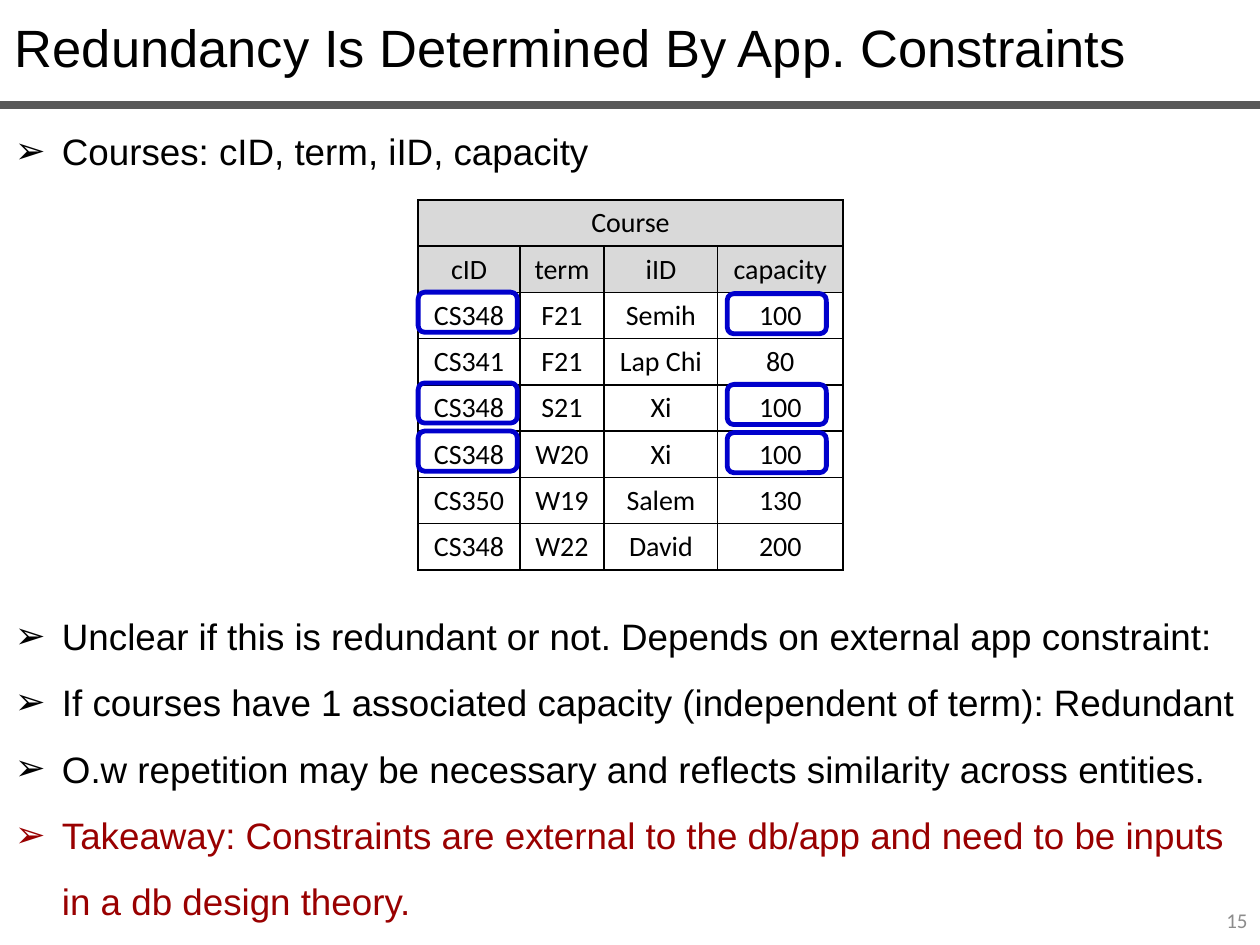
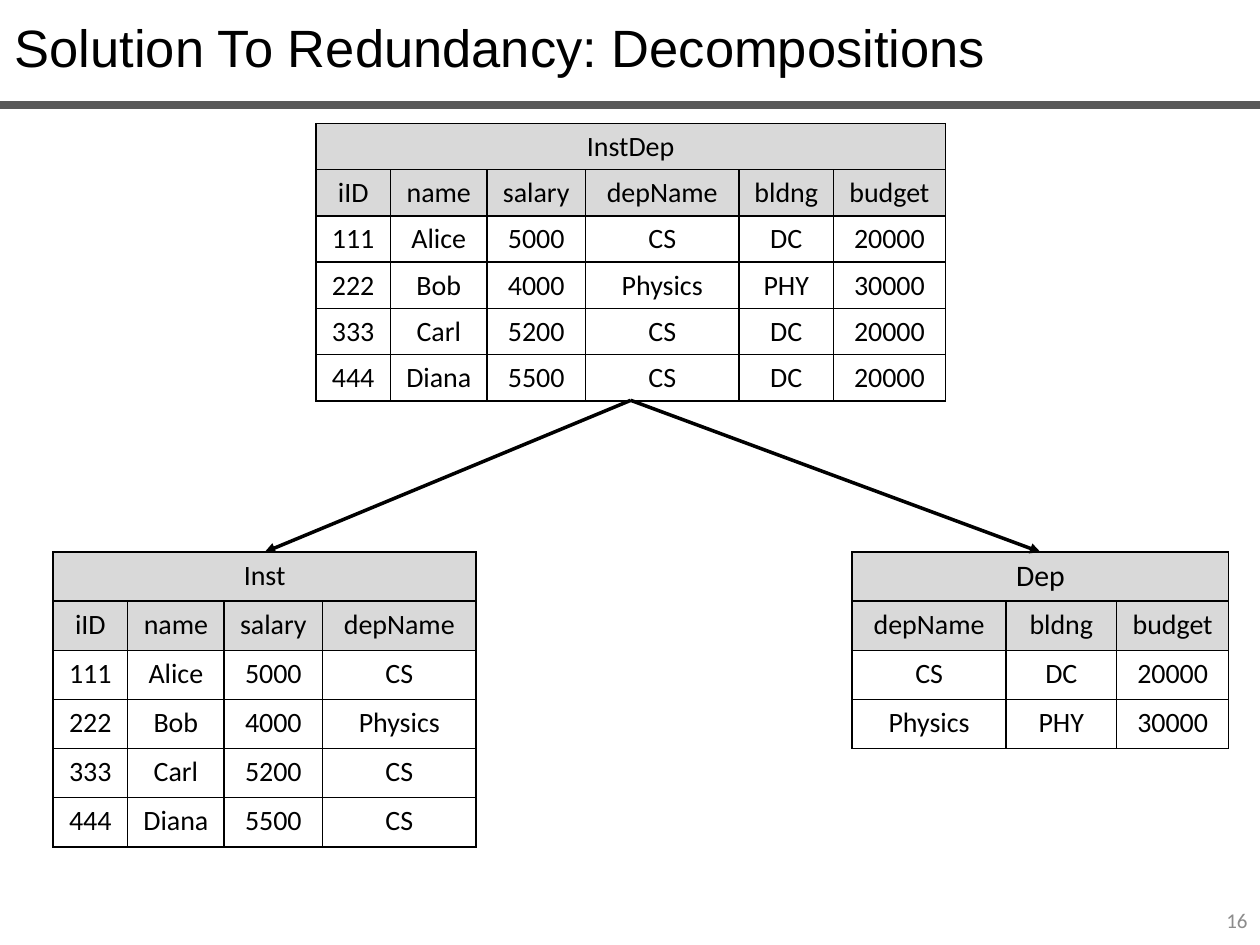
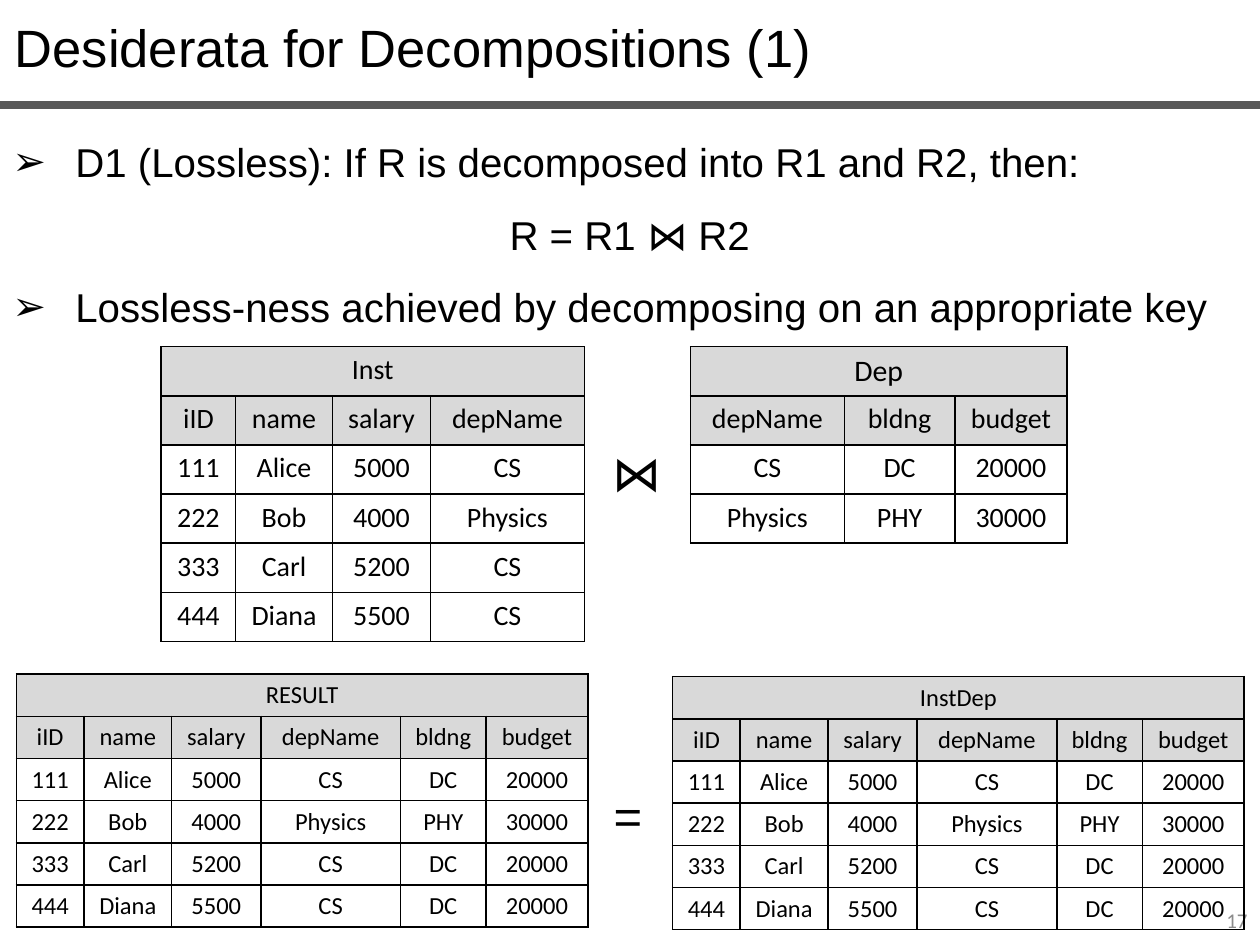
from collections.abc import Sequence
from dataclasses import dataclass

from lxml.etree import SubElement
from pptx import Presentation
from pptx.dml.color import RGBColor
from pptx.enum.shapes import MSO_CONNECTOR, MSO_SHAPE
from pptx.enum.text import MSO_ANCHOR, MSO_AUTO_SIZE, PP_ALIGN
from pptx.oxml.ns import qn
from pptx.util import Cm, Pt

# Shared look
BLACK, GREY, PALE, RULE = "000000", "8C8C8C", "D9D9D9", "595959"
RED, BLUE = "990000", "0000CC"
HEADING_FONT, TABLE_FONT = "Arial", "Calibri"
PAGE_WIDTH, PAGE_HEIGHT = 25.4, 19.05
FIRST_PAGE_NUMBER = 15
SMALL_SCALE = 0.908


@dataclass
class Line:
    text: str
    color: str = BLACK
    indent: float = 0.0  # cm; a bullet hangs in it
    align: PP_ALIGN = PP_ALIGN.LEFT


@dataclass
class Relation:
    name: str
    columns: list[str]
    rows: list[tuple[str, ...]]

    def project(self, name: str, columns: list[str]) -> "Relation":
        """Keep the given columns and drop repeated rows."""
        places = [self.columns.index(column) for column in columns]
        rows = [tuple(row[place] for place in places) for row in self.rows]
        return Relation(name, columns, list(dict.fromkeys(rows)))


@dataclass
class TableLook:
    widths: list[float]
    row_height: float
    size: float = 16
    name_size: float = 16


# Relations
COURSE = Relation("Course", ["cID", "term", "iID", "capacity"], [
    ("CS348", "F21", "Semih", "100"),
    ("CS341", "F21", "Lap Chi", "80"),
    ("CS348", "S21", "Xi", "100"),
    ("CS348", "W20", "Xi", "100"),
    ("CS350", "W19", "Salem", "130"),
    ("CS348", "W22", "David", "200"),
])
INST_DEP = Relation("InstDep", ["iID", "name", "salary", "depName", "bldng", "budget"], [
    ("111", "Alice", "5000", "CS", "DC", "20000"),
    ("222", "Bob", "4000", "Physics", "PHY", "30000"),
    ("333", "Carl", "5200", "CS", "DC", "20000"),
    ("444", "Diana", "5500", "CS", "DC", "20000"),
])
INST = INST_DEP.project("Inst", INST_DEP.columns[:4])
DEP = INST_DEP.project("Dep", INST_DEP.columns[3:])
RESULT = INST_DEP.project("RESULT", INST_DEP.columns)

# Table looks, in cm and points
WIDTHS = [1.5, 1.95, 1.98, 3.1, 1.9, 2.26]
COURSE_LOOK = TableLook([2.05, 1.7, 2.29, 2.52], 0.93)
INST_DEP_LOOK = TableLook(WIDTHS, 0.93)
INST_LOOK = TableLook(WIDTHS[:4], 0.99)
DEP_LOOK = TableLook([3.1, 2.23, 2.26], 0.99, name_size=17)
SMALL_LOOK = TableLook([width * SMALL_SCALE for width in WIDTHS], 0.85, 14, 14)


def rgb(color: str) -> RGBColor:
    return RGBColor.from_string(color)


def style_runs(paragraph, font: str, size: float, color: str) -> None:
    for span in paragraph.runs:
        span.font.name = font
        span.font.size = Pt(size)
        span.font.color.rgb = rgb(color)


def add_bullet(paragraph, indent: float) -> None:
    properties = paragraph._p.get_or_add_pPr()
    properties.set("marL", str(Cm(indent)))
    properties.set("indent", str(-Cm(indent)))
    SubElement(properties, qn("a:buFont")).set("typeface", HEADING_FONT)
    SubElement(properties, qn("a:buChar")).set("char", "➢")


def add_text(page, left: float, top: float, width: float, height: float,
             lines: Sequence[Line], size: float, font: str = HEADING_FONT,
             spacing: float | None = None, wrap: bool = True, grow: bool = True):
    box = page.shapes.add_textbox(Cm(left), Cm(top), Cm(width), Cm(height))
    frame = box.text_frame
    frame.word_wrap = wrap
    frame.auto_size = MSO_AUTO_SIZE.SHAPE_TO_FIT_TEXT if grow else MSO_AUTO_SIZE.NONE
    frame.text = "\n".join(line.text for line in lines)
    for paragraph, line in zip(frame.paragraphs, lines):
        paragraph.alignment = line.align
        if spacing:
            paragraph.line_spacing = spacing
        if line.indent:
            add_bullet(paragraph, line.indent)
        style_runs(paragraph, font, size, line.color)
    return box


def add_line(page, start: tuple[float, float], end: tuple[float, float],
             color: str, width: float, arrow: bool = False) -> None:
    line = page.shapes.add_connector(
        MSO_CONNECTOR.STRAIGHT, *(Cm(value) for value in (*start, *end)))
    line.line.color.rgb = rgb(color)
    line.line.width = Pt(width)
    if arrow:
        SubElement(line.line._get_or_add_ln(), qn("a:tailEnd")).set("type", "triangle")
    SubElement(line._element.spPr, qn("a:effectLst"))


def add_highlight(page, left: float, top: float) -> None:
    frame = page.shapes.add_shape(
        MSO_SHAPE.ROUNDED_RECTANGLE, Cm(left), Cm(top), Cm(2), Cm(0.81))
    frame.shadow.inherit = False
    frame.fill.background()
    frame.line.color.rgb = rgb(BLUE)
    frame.line.width = Pt(2.75)


def format_cell(cell, text: str, size: float, header: bool) -> None:
    cell.text_frame.text = text
    paragraph = cell.text_frame.paragraphs[0]
    paragraph.alignment = PP_ALIGN.CENTER
    style_runs(paragraph, TABLE_FONT, size, BLACK)
    # Borders come before the fill in the cell properties
    properties = cell._tc.get_or_add_tcPr()
    for side in ("lnL", "lnR", "lnT", "lnB"):
        border = SubElement(properties, qn(f"a:{side}"), w=str(Pt(1)))
        fill = SubElement(border, qn("a:solidFill"))
        SubElement(fill, qn("a:srgbClr")).set("val", BLACK)
    if header:
        cell.fill.solid()
        cell.fill.fore_color.rgb = rgb(PALE)
    else:
        cell.fill.background()


def add_relation(page, relation: Relation, look: TableLook, left: float, top: float
                 ) -> tuple[tuple[float, float], tuple[float, float]]:
    """Draw a relation and return the middles of its top and bottom edges."""
    name_row = (relation.name, *[""] * (len(relation.columns) - 1))
    grid = [name_row, relation.columns, *relation.rows]
    width, height = sum(look.widths), look.row_height * len(grid)
    table = page.shapes.add_table(len(grid), len(look.widths), Cm(left), Cm(top),
                                  Cm(width), Cm(height)).table
    table.first_row = table.horz_banding = False
    for column, column_width in zip(table.columns, look.widths):
        column.width = Cm(column_width)
    for row_index, values in enumerate(grid):
        table.rows[row_index].height = Cm(look.row_height)
        size = look.size if row_index else look.name_size
        for column_index, value in enumerate(values):
            format_cell(table.cell(row_index, column_index), value, size, row_index < 2)
    table.cell(0, 0).merge(table.cell(0, len(look.widths) - 1))
    middle = left + width / 2
    return (middle, top), (middle, top + height)


def add_page(deck, title: str):
    """Blank page with title, rule and page number."""
    page = deck.slides.add_slide(deck.slide_layouts[6])
    add_text(page, 0.05, 0.18, 25.35, 1.55, [Line(title)], 30)
    add_line(page, (0, 2.11), (PAGE_WIDTH, 2.11), RULE, 4.5)
    number = str(FIRST_PAGE_NUMBER + len(deck.slides) - 1)
    box = add_text(page, 19.48, 18.03, 5.92, 1.02,
                   [Line(number, GREY, align=PP_ALIGN.RIGHT)], 12, TABLE_FONT, grow=False)
    box.text_frame.vertical_anchor = MSO_ANCHOR.MIDDLE
    return page


def add_constraints_page(deck) -> None:
    page = add_page(deck, "Redundancy Is Determined By App. Constraints")
    indent = 0.95
    add_text(page, 0.05, 2.03, 25.35, 1.45,
             [Line("Courses: cID, term, iID, capacity", indent=indent)], 21, spacing=1.5)
    add_text(page, 0.05, 11.81, 25.35, 6.83, [
        Line("Unclear if this is redundant or not. Depends on external app constraint:",
             indent=indent),
        Line("If courses have 1 associated capacity (independent of term): Redundant",
             indent=indent),
        Line("O.w repetition may be necessary and reflects similarity across entities.",
             indent=indent),
        Line("Takeaway: Constraints are external to the db/app and need to be inputs "
             "in a db design theory.", RED, indent),
    ], 21, spacing=1.5)
    add_relation(page, COURSE, COURSE_LOOK, 8.43, 4.03)
    for left, shift in ((8.43, 0), (14.66, 0.03)):
        for top in (5.89, 7.72, 8.69):
            add_highlight(page, left, top + shift)


def add_solution_page(deck) -> None:
    page = add_page(deck, "Solution To Redundancy: Decompositions")
    _, source = add_relation(page, INST_DEP, INST_DEP_LOOK, 6.37, 2.49)
    inst_top, _ = add_relation(page, INST, INST_LOOK, 1.07, 11.13)
    dep_top, _ = add_relation(page, DEP, DEP_LOOK, 17.18, 11.13)
    for target in (inst_top, dep_top):
        add_line(page, source, target, BLACK, 2, arrow=True)


def add_lossless_page(deck) -> None:
    page = add_page(deck, "Desiderata for Decompositions (1)")
    indent = 1.27
    add_text(page, 0, 2.16, PAGE_WIDTH, 4.5, [
        Line("D1 (Lossless): If R is decomposed into R1 and R2, then:", indent=indent),
        Line("R = R1 ⋈ R2", align=PP_ALIGN.CENTER),
        Line("Lossless-ness achieved by decomposing on an appropriate key", indent=indent),
    ], 23, spacing=1.5)
    add_relation(page, RESULT, SMALL_LOOK, 0.33, 13.59)
    add_relation(page, INST, INST_LOOK, 3.25, 6.99)
    add_relation(page, DEP, DEP_LOOK, 13.92, 6.99)
    add_text(page, 12.09, 8.79, 1.35, 1.45, [Line("⋈")], 28, wrap=False)
    add_relation(page, INST_DEP, SMALL_LOOK, 13.56, 13.64)
    add_text(page, 12.12, 15.72, 1.09, 1.45, [Line("=")], 28, wrap=False)


def main() -> None:
    deck = Presentation()
    deck.slide_width, deck.slide_height = Cm(PAGE_WIDTH), Cm(PAGE_HEIGHT)
    add_constraints_page(deck)
    add_solution_page(deck)
    add_lossless_page(deck)
    deck.save("out.pptx")


if __name__ == "__main__":
    main()
